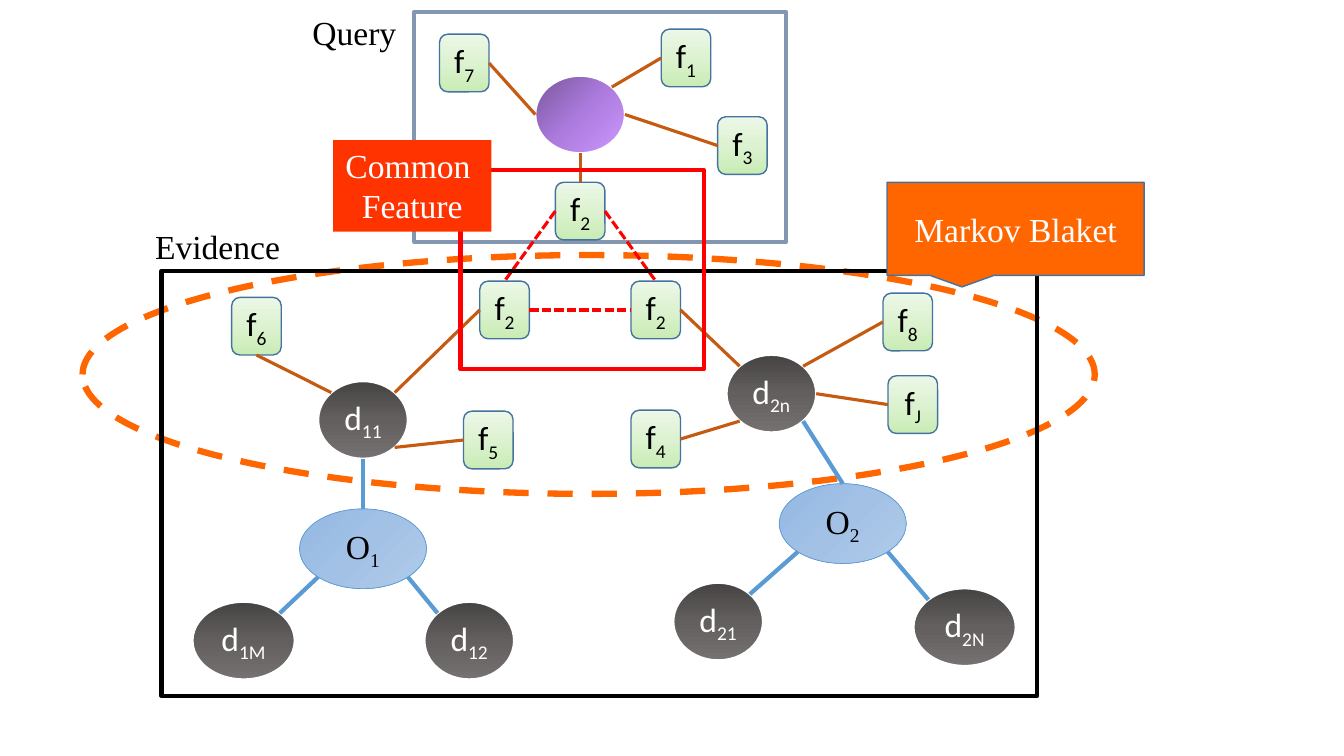
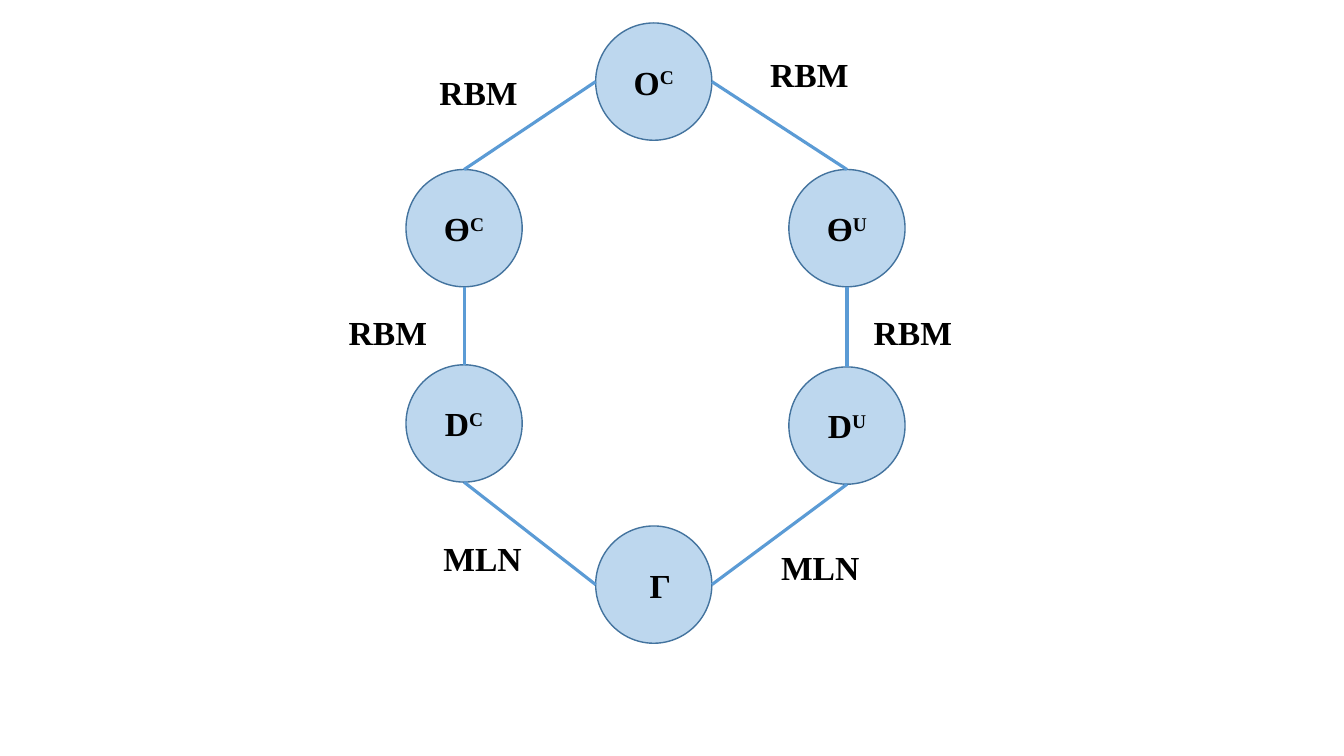
from pptx import Presentation
from pptx.dml.color import RGBColor
from pptx.enum.dml import MSO_LINE
from pptx.enum.shapes import MSO_CONNECTOR, MSO_SHAPE as SHAPE
from pptx.enum.text import MSO_ANCHOR as ANCHOR, PP_ALIGN as ALIGN
from pptx.oxml import parse_xml
from pptx.oxml.ns import nsdecls
from pptx.oxml.xmlchemy import OxmlElement
from pptx.util import Pt

BLACK = RGBColor(0x00, 0x00, 0x00)
WHITE = RGBColor(0xFF, 0xFF, 0xFF)
RED = RGBColor(0xFF, 0x00, 0x00)
SCARLET = RGBColor(0xFF, 0x33, 0x00)
ORANGE = RGBColor(0xFF, 0x66, 0x00)
BROWN = RGBColor(0xC5, 0x5A, 0x11)
SLATE = RGBColor(0x84, 0x97, 0xB0)
BLUE = RGBColor(0x5B, 0x9B, 0xD5)
NAVY = RGBColor(0x43, 0x73, 0x9E)
PALE_BLUE = RGBColor(0xBD, 0xD7, 0xEE)

# Gradients: three stops, then the angle in degrees (None: from the lower right corner)
OBJECT_FILL = ("B1CBE9", "A3C1E5", "93B9E4"), None
DATA_FILL = ("464343", "635F5F", "767171"), 90
FEATURE_FILL = ("C9ECB4", "DCF2D0", "EDF8E8"), 270
QUERY_FILL = ("79569C", "AC7BDD", "CC99FF"), 45

SERIF, SANS = "Times New Roman", "Calibri"
RAISE = {"_": "-25000", "^": "30000"}

# Connection sites as fractions of width and height from the centre
DIAG = 0.3536
SITES = {"t": (0, -0.5), "b": (0, 0.5), "l": (-0.5, 0), "r": (0.5, 0),
         "tl": (-DIAG, -DIAG), "tr": (DIAG, -DIAG),
         "bl": (-DIAG, DIAG), "br": (DIAG, DIAG)}


def put_text(sp, text, font=SERIF, size=24, color=BLACK, bold=False,
             align=ALIGN.CENTER, anchor=ANCHOR.MIDDLE, margin=None):
    """Write text; "_" starts a subscript and "^" a superscript."""
    tf = sp.text_frame
    tf.word_wrap = True
    tf.vertical_anchor = anchor
    if margin is not None:
        tf.margin_left, tf.margin_right = Pt(margin), 0
    for i, line in enumerate(text.split("\n")):
        p = tf.paragraphs[0] if i == 0 else tf.add_paragraph()
        p.alignment = align
        mark = next((m for m in RAISE if m in line), None)
        for j, part in enumerate(line.split(mark) if mark else [line]):
            r = p.add_run()
            r.text = part
            r.font.name, r.font.size, r.font.bold = font, Pt(size), bold
            r.font.color.rgb = color
            if j:
                r.font._element.set("baseline", RAISE[mark])


def set_gradient(sp, stops, angle):
    sp.fill.gradient()
    gs = "".join(f'<a:gs pos="{i * 50000}"><a:srgbClr val="{c}"/></a:gs>'
                 for i, c in enumerate(stops))
    if angle is None:
        way = '<a:path path="circle"><a:fillToRect l="100000" t="100000"/></a:path>'
    else:
        way = f'<a:lin ang="{angle * 60000}" scaled="0"/>'
    grad = parse_xml(f'<a:gradFill {nsdecls("a")}><a:gsLst>{gs}</a:gsLst>{way}</a:gradFill>')
    sp_pr = sp._element.spPr
    sp_pr.replace(sp_pr.gradFill, grad)


class Deck:
    def __init__(self):
        self.prs = Presentation()
        self.prs.slide_width, self.prs.slide_height = Pt(960), Pt(540)

    def new_slide(self):
        self.s = self.prs.slides.add_slide(self.prs.slide_layouts[6])
        self.nodes = {}

    def shape(self, kind, x, y, w, h, fill=None, line=None, width=1, dash=None):
        sp = self.s.shapes.add_shape(kind, Pt(x), Pt(y), Pt(w), Pt(h))
        sp.shadow.inherit = False
        if fill is None:
            sp.fill.background()
        elif isinstance(fill, RGBColor):
            sp.fill.solid()
            sp.fill.fore_color.rgb = fill
        else:
            set_gradient(sp, *fill)
        if line is None:
            sp.line.fill.background()
        else:
            sp.line.color.rgb, sp.line.width = line, Pt(width)
            sp.line.dash_style = dash
        return sp

    def node(self, name, kind, cx, cy, w, h, text="", margin=0, style=None, **look):
        """A shape placed by its centre, known to link() by name."""
        sp = self.shape(kind, cx - w / 2, cy - h / 2, w, h, **look)
        if text:
            put_text(sp, text, margin=margin, **(style or {}))
        self.nodes[name] = cx, cy, w, h

    def site(self, end):
        name, side = end.split(".")
        cx, cy, w, h = self.nodes[name]
        fx, fy = SITES[side]
        return Pt(cx + fx * w), Pt(cy + fy * h)

    def link(self, start, end, color=BLUE, width=2.25, dash=None):
        c = self.s.shapes.add_connector(
            MSO_CONNECTOR.STRAIGHT, *self.site(start), *self.site(end))
        c.line.color.rgb, c.line.width, c.line.dash_style = color, Pt(width), dash
        c._element.spPr.append(OxmlElement("a:effectLst"))

    def label(self, text, x, y, w=96, **fmt):
        tb = self.s.shapes.add_textbox(Pt(x), Pt(y), Pt(w), Pt(36))
        put_text(tb, text, align=ALIGN.LEFT, anchor=ANCHOR.TOP, **fmt)


def build_network(deck):
    deck.new_slide()
    # Blanket outline and query frame
    deck.shape(SHAPE.OVAL, 59, 182.2, 723, 170.6, line=ORANGE, width=4.5, dash=MSO_LINE.DASH)
    deck.shape(SHAPE.RECTANGLE, 296, 8.6, 265.6, 164.2, line=SLATE, width=3)

    # Objects, data and features
    for text, cx, cy in (("O_1", 259.3, 392), ("O_2", 602, 374)):
        deck.node(text, SHAPE.OVAL, cx, cy, 90.7, 57, text,
                  fill=OBJECT_FILL, line=BLUE, width=0.5)
    for text, cx, cy, w in (("d_11", 259.3, 300, 64), ("d_1M", 174, 457.6, 73),
                            ("d_21", 513, 444, 64), ("d_12", 335.2, 457.6, 64),
                            ("d_2n", 551, 281.2, 64), ("d_2N", 689, 448, 73)):
        deck.node(text, SHAPE.OVAL, cx, cy, w, 55.4, text,
                  style=dict(font=SANS, color=WHITE), fill=DATA_FILL, line=WHITE, width=1.5)
    deck.node("query", SHAPE.OVAL, 414.4, 81.8, 64, 55.4,
              fill=QUERY_FILL, line=WHITE, width=1.5)
    for name, text, cx, cy in (
            ("f6", "f_6", 183.2, 233), ("left", "f_2", 360.4, 221.4),
            ("f5", "f_5", 348.8, 314.3), ("right", "f_2", 468.4, 221.4),
            ("f4", "f_4", 468.4, 313.6), ("fJ", "f_J", 652, 289),
            ("f8", "f_8", 648.4, 230), ("top", "f_2", 414.4, 150.8),
            ("f3", "f_3", 530.3, 104), ("f7", "f_7", 331.6, 45), ("f1", "f_1", 490, 41.4)):
        deck.node(name, SHAPE.ROUNDED_RECTANGLE, cx, cy, 35.4, 41.2, text,
                  style=dict(font=SANS), fill=FEATURE_FILL, line=NAVY)

    # Links: object to data, data to feature, shared feature
    for start, end in (("O_1.t", "d_11.b"), ("O_1.br", "d_12.tl"), ("O_1.bl", "d_1M.tr"),
                       ("O_2.t", "d_2n.br"), ("O_2.br", "d_2N.tl"), ("O_2.bl", "d_21.tr")):
        deck.link(start, end, width=3)
    for start, end in (("d_11.tl", "f6.b"), ("d_11.tr", "left.l"), ("d_11.br", "f5.l"),
                       ("d_2n.tl", "right.r"), ("d_2n.bl", "f4.r"), ("d_2n.tr", "f8.l"),
                       ("d_2n.r", "fJ.l"), ("query.l", "f7.r"), ("query.tr", "f1.l"),
                       ("query.r", "f3.l"), ("query.b", "top.t")):
        deck.link(start, end, BROWN)
    for start, end in (("left.r", "right.l"), ("top.l", "left.t"), ("top.r", "right.t")):
        deck.link(start, end, RED, dash=MSO_LINE.SQUARE_DOT)

    # Frames and captions
    deck.label("Query", 216, 5)
    deck.shape(SHAPE.RECTANGLE, 115.4, 193.5, 625.4, 303.6, line=BLACK, width=3)
    deck.label("Evidence", 103.7, 157.7, w=133)
    deck.shape(SHAPE.RECTANGLE, 329, 121.5, 173.8, 142.4, line=RED, width=3)
    sp = deck.shape(SHAPE.RECTANGLE, 238, 100, 113, 65.4, fill=SCARLET)
    put_text(sp, "Common \nFeature", color=WHITE, anchor=ANCHOR.TOP)
    sp = deck.shape(SHAPE.RECTANGULAR_CALLOUT, 633.6, 130.3, 183.6, 66.4,
                    fill=ORANGE, line=NAVY)
    put_text(sp, "Markov Blaket", color=WHITE)


def build_ring(deck):
    deck.new_slide()
    left, middle, right = 331.5, 467, 605
    # Circles
    for text, cx, cy, margin in (("O^C", middle, 58.3, 0), ("Ө^C", left, 163, 0),
                                 ("Ө^U", right, 163, 0), ("D^C", left, 302.5, 0),
                                 ("D^U", right, 304, 0), ("Γ", middle, 417.6, 9.5)):
        deck.node(text, SHAPE.OVAL, cx, cy, 83, 83.8, text, margin=margin,
                  style=dict(bold=True), fill=PALE_BLUE, line=NAVY)

    # Links on each side of the ring
    for side, half in (("l", "C"), ("r", "U")):
        theta, data = f"Ө^{half}", f"D^{half}"
        deck.link(f"O^C.{side}", f"{theta}.t")
        deck.link(f"{theta}.b", f"{data}.t")
        deck.link(f"{data}.b", f"Γ.{side}")

    # Names of the links
    for text, x, y in (("RBM", 306.7, 48.2), ("RBM", 543, 35.3), ("RBM", 242, 219.6),
                       ("RBM", 617, 219.6), ("MLN", 309.6, 381), ("MLN", 550.8, 387.4)):
        deck.label(text, x, y, bold=True)


def main():
    deck = Deck()
    build_network(deck)
    build_ring(deck)
    deck.prs.save("out.pptx")


if __name__ == "__main__":
    main()
